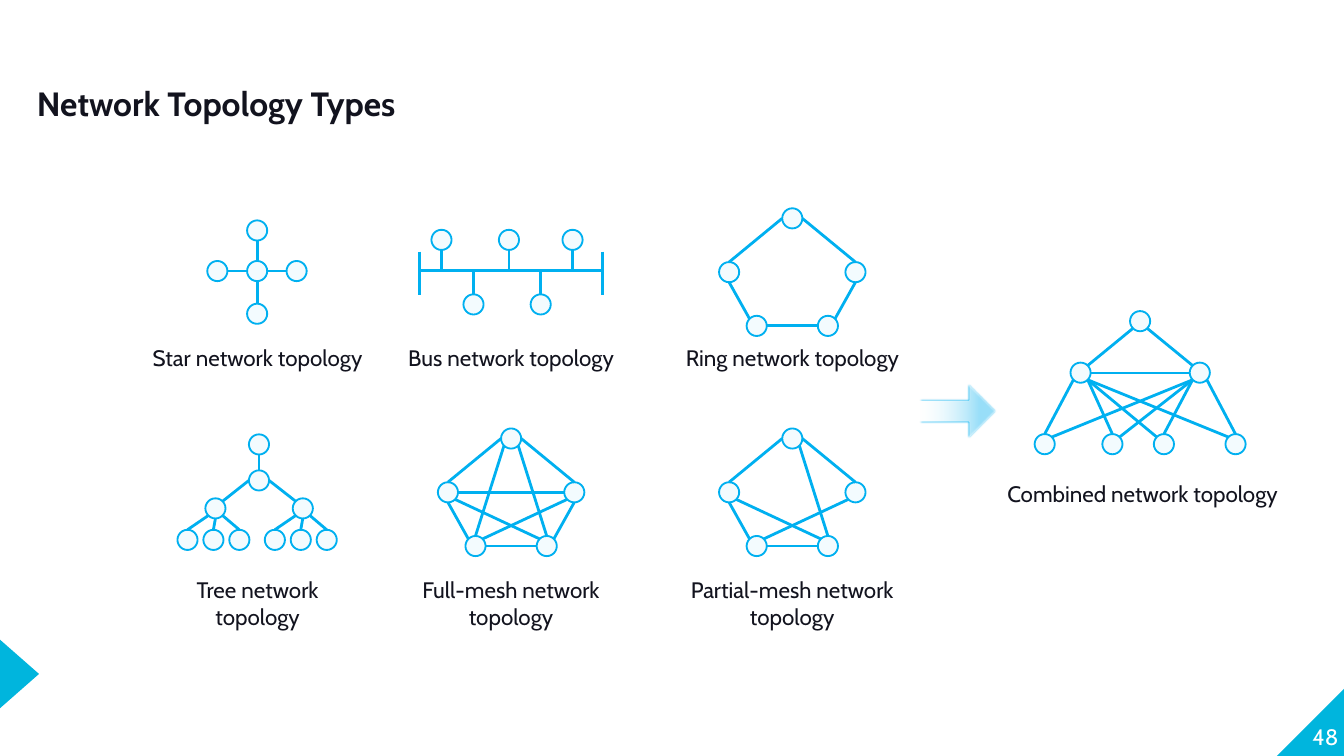
from lxml import etree
from pptx import Presentation
from pptx.dml.color import RGBColor
from pptx.enum import shapes, text
from pptx.oxml.ns import qn
from pptx.util import Inches, Pt

INK, BLUE, PALE, CYAN, WHITE = "12131E", "00B0F0", "F3FBFE", "00B5DD", "FFFFFF"
FONT = "Cabin"
COLUMNS = 100
RADIUS = 0.75
DIAGONAL = 0.53
COMPASS = {
    "n": (0, -RADIUS), "s": (0, RADIUS), "w": (-RADIUS, 0), "e": (RADIUS, 0),
    "nw": (-DIAGONAL, -DIAGONAL), "ne": (DIAGONAL, -DIAGONAL),
    "sw": (-DIAGONAL, DIAGONAL), "se": (DIAGONAL, DIAGONAL),
}
RING_SIDES = ["left.n top.w", "left.s lower_left.nw", "top.e right.n", "lower_left.e lower_right.w"]
RIGHT_SIDE = ["lower_right.ne right.s"]
CROSSING = ["lower_right.n top.se", "lower_left.ne right.sw", "lower_right.nw left.se"]
MESH_EXTRAS = ["lower_left.n top.sw", "left.e right.w"]


def color(hex_code):
    return RGBColor.from_string(hex_code)


def write(frame, content, size=12, ink=INK, bold=False, align=text.PP_ALIGN.CENTER,
          anchor=text.MSO_ANCHOR.TOP, margins=(0, 0), before=0, indent=0):
    frame.word_wrap = True
    frame.vertical_anchor = anchor
    frame.margin_left = frame.margin_right = Inches(margins[0])
    frame.margin_top = frame.margin_bottom = Inches(margins[1])
    paragraph = frame.paragraphs[0]
    paragraph.alignment = align
    paragraph.space_before = Pt(before)
    paragraph._p.get_or_add_pPr().set("marL", str(Inches(indent)))
    run = paragraph.add_run()
    run.text = content
    run.font.name, run.font.size, run.font.bold = FONT, Pt(size), bold
    run.font.color.rgb = color(ink)


class TopologySlide:
    def __init__(self, deck):
        self.slide = deck.slides.add_slide(deck.slide_layouts[6])
        self.cell = deck.slide_width / COLUMNS

    def grid(self, *cells):
        return [round(cell * self.cell) for cell in cells]

    def label(self, content, left, top, width, height, **style):
        box = self.slide.shapes.add_textbox(*self.grid(left, top, width, height))
        write(box.text_frame, content, **style)

    def shape(self, kind, left, top, width, height, fill=None, outline=None, weight=1,
              rotation=0, parent=None):
        item = (parent or self.slide).shapes.add_shape(kind, *self.grid(left, top, width, height))
        item.shadow.inherit = False
        item.rotation = rotation
        if fill:
            item.fill.solid()
            item.fill.fore_color.rgb = color(fill)
        if outline:
            item.line.color.rgb = color(outline)
            item.line.width = Pt(weight)
        else:
            item.line.fill.background()
        return item

    def node(self, group, center):
        x, y = center
        self.shape(shapes.MSO_SHAPE.FLOWCHART_CONNECTOR, x - RADIUS, y - RADIUS,
                   2 * RADIUS, 2 * RADIUS, PALE, BLUE, parent=group)

    def line(self, group, start, end, weight=1.5):
        link = group.shapes.add_connector(shapes.MSO_CONNECTOR.STRAIGHT, *self.grid(*start, *end))
        link.line.color.rgb = color(BLUE)
        link.line.width = Pt(weight)
        etree.SubElement(link._element.spPr, qn("a:effectLst"))

    def network(self, nodes, links, thin=()):
        def site(name):
            node, side = name.split(".")
            return [c + d for c, d in zip(nodes[node], COMPASS[side])]

        group = self.slide.shapes.add_group_shape()
        for center in nodes.values():
            self.node(group, center)
        for link in links:
            start, end = link.split()
            self.line(group, site(start), site(end), 1 if link in thin else 1.5)

    def pentagon(self, x, y, links):
        self.network({
            "top": (x, y), "left": (x - 4.7, y + 4), "right": (x + 4.7, y + 4),
            "lower_left": (x - 2.65, y + 8), "lower_right": (x + 2.65, y + 8),
        }, links)

    def bus(self, left, right, trunk, upper, lower):
        group = self.slide.shapes.add_group_shape()
        for x in (left, right):
            self.line(group, (x, trunk - 1.4), (x, trunk + 1.8))
        self.line(group, (left, trunk), (right, trunk))
        for xs, y, edge in ((upper, 17.85, RADIUS), (lower, 22.65, -RADIUS)):
            for x in xs:
                self.node(group, (x, y))
                self.line(group, (x, y + edge), (x, trunk))

    def arrow(self, left, top, width, height):
        arrow = self.shape(shapes.MSO_SHAPE.RIGHT_ARROW, left, top, width, height,
                           outline=BLUE, weight=1.25)
        arrow.adjustments[0], arrow.adjustments[1] = 0.4, 0.5
        arrow.fill.gradient()
        arrow.fill.gradient_angle = 0
        for stop, position, tint in zip(arrow.fill.gradient_stops, (0.15, 0.81), ("F1FCFF", "99DFF9")):
            stop.position, stop.color.rgb = position, color(tint)
        properties = arrow._element.spPr
        clear = properties.find(".//" + qn("a:gs")).find(qn("a:srgbClr"))
        etree.SubElement(clear, qn("a:alpha"), val="0")
        effects = properties.find(qn("a:effectLst"))
        etree.SubElement(effects, qn("a:softEdge"), rad=str(Pt(1)))


def main():
    deck = Presentation()
    deck.slide_width = Inches(10)
    deck.slide_height = deck.slide_width * 9 // 16
    page = TopologySlide(deck)

    page.shape(shapes.MSO_SHAPE.RIGHT_TRIANGLE, 95, 51.15, 5.1, 5.1, CYAN, rotation=270)
    page.shape(shapes.MSO_SHAPE.ISOSCELES_TRIANGLE, -1.1, 48.7, 5.1, 2.9, CYAN, rotation=90)
    page.label("48", 94.6, 50.7, 5, 5.1, ink=WHITE, align=text.PP_ALIGN.RIGHT,
               anchor=text.MSO_ANCHOR.BOTTOM)
    page.label("Network Topology Types", 1.35, 6.2, 97.3, 41.4, size=18, bold=True,
               align=text.PP_ALIGN.JUSTIFY, before=3.6, indent=0.14)

    page.network({
        "top": (19.13, 17.15), "hub": (19.13, 20.17), "bottom": (19.13, 23.35),
        "left": (16.17, 20.17), "right": (22.07, 20.17),
    }, ["top.s hub.n", "right.w hub.e", "hub.s bottom.n", "hub.w left.e"])

    page.bus(31.2, 44.8, 20.13, (32.85, 37.87, 42.6), (35.23, 40.23))
    page.pentagon(58.95, 16.25, RING_SIDES + RIGHT_SIDE)

    tree = {"root": (19.27, 33.07), "hub": (19.27, 35.75)}
    branches = ["root.s hub.n", "b1.nw hub.e", "hub.w b0.ne"]
    for b, (x, first_leaf) in enumerate(((16.03, 13.95), (22.53, 20.45))):
        tree[f"b{b}"] = (x, 37.83)
        for leaf, side in enumerate(("sw", "s", "se")):
            tree[f"leaf{b}{leaf}"] = (first_leaf + 1.93 * leaf, 40.17)
            branches.append(f"b{b}.{side} leaf{b}{leaf}.n")
    page.network(tree, branches)

    page.pentagon(38.03, 32.63, RING_SIDES + RIGHT_SIDE + CROSSING + MESH_EXTRAS)
    page.pentagon(58.95, 32.63, RING_SIDES + CROSSING)

    for content, center, top, width in (
        ("Star network topology", 19.17, 25.2, 18.9),
        ("Bus network topology", 38.03, 25.2, 18.5),
        ("Ring network topology", 58.97, 25.2, 19.2),
        ("Tree network topology", 19.17, 42.45, 13.1),
        ("Full-mesh network topology", 38.03, 42.45, 16),
        ("Partial-mesh network topology", 58.95, 42.45, 17.4),
        ("Combined network topology", 85.03, 35.3, 23.6),
    ):
        page.label(content, center - width / 2, top, width, 2.8, margins=(0.08, 0.04))

    bridge = "right.w left.e"
    combined = {"top": (84.83, 23.9), "left": (80.4, 27.73), "right": (89.27, 27.73)}
    combined.update({f"leaf{i}": (x, 33.05) for i, x in enumerate((77.73, 82.77, 86.6, 91.93))})
    page.network(combined, [
        "right.nw top.se", "top.sw left.ne", bridge,
        "left.sw leaf0.n", "left.se leaf1.n", "right.sw leaf2.n", "right.se leaf3.n",
        "right.sw leaf0.ne", "right.sw leaf1.ne", "left.se leaf3.nw", "left.se leaf2.nw",
    ], thin=(bridge,))

    page.arrow(67.4, 28.5, 6.7, 4.2)
    deck.save("out.pptx")


if __name__ == "__main__":
    main()
